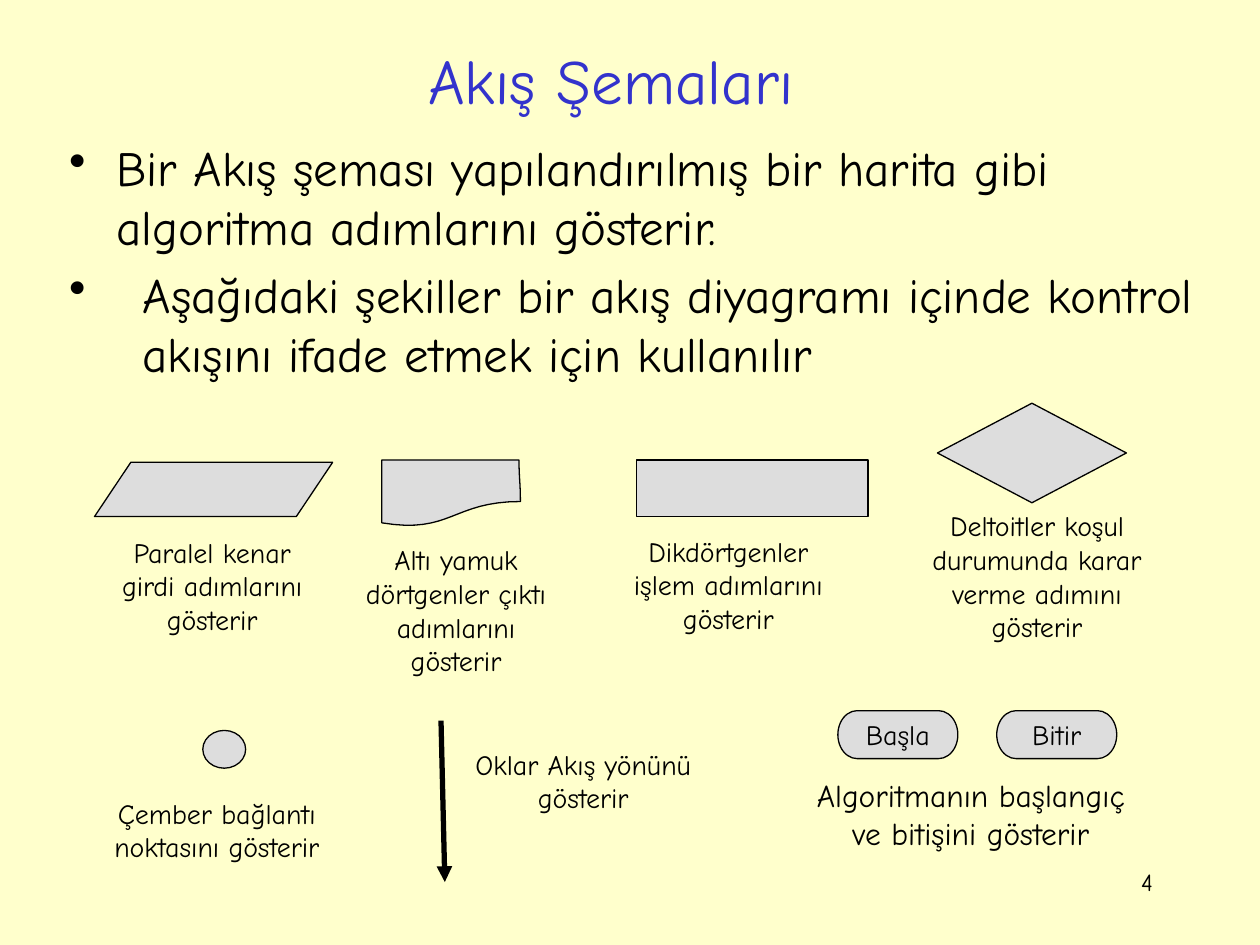
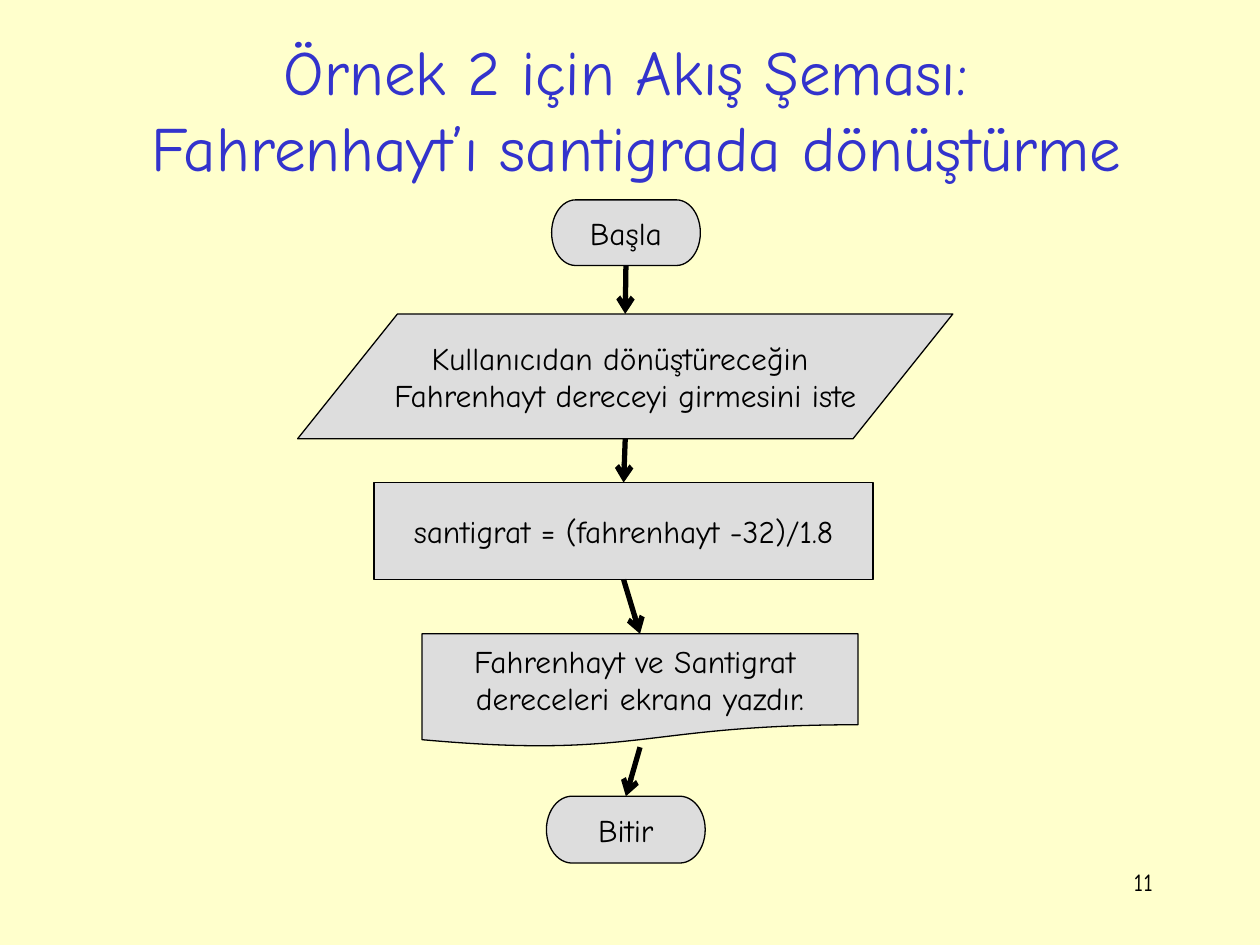
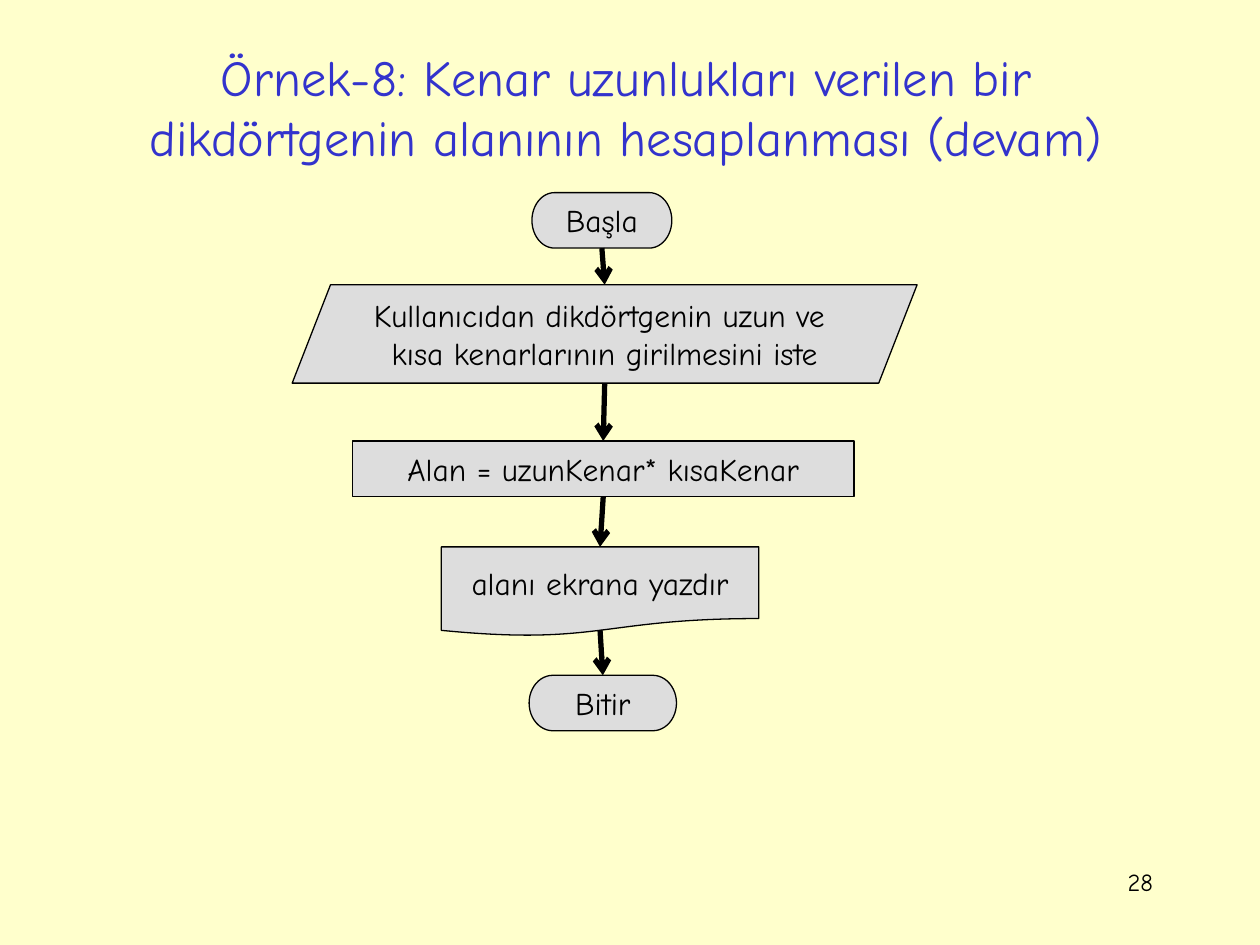
from typing import NamedTuple

from lxml import etree
from pptx import Presentation
from pptx import util as u
from pptx.dml.color import RGBColor
from pptx.enum import shapes, text
from pptx.oxml import ns

CREAM = RGBColor(0xFF, 0xFF, 0xCC)
GREY = RGBColor(0xDD, 0xDD, 0xDD)
BLACK = RGBColor(0, 0, 0)
BLUE = RGBColor(0x33, 0x33, 0xCC)
FONT = "Comic Neue"
KIND = shapes.MSO_SHAPE
CENTER = text.PP_ALIGN.CENTER
LEFT = text.PP_ALIGN.LEFT
RIGHT = text.PP_ALIGN.RIGHT
MIDDLE = text.MSO_ANCHOR.MIDDLE
TOP = text.MSO_ANCHOR.TOP


class Box(NamedTuple):
    left: float
    top: float
    width: float
    height: float

    def lengths(self) -> list:
        return [u.Pt(value) for value in self]

    @property
    def center(self) -> float:
        return self.left + self.width / 2


class Symbol(NamedTuple):
    kind: int
    box: Box
    lines: tuple = ()
    size: float = 18
    slant: float | None = None
    exit: float = 1


class Caption(NamedTuple):
    box: Box
    words: str
    size: float = 16


class Bullet(NamedTuple):
    words: str
    indent: float


class Flow(NamedTuple):
    title: Caption
    number: int
    steps: tuple


def apply_format(target, values: dict) -> None:
    for name, value in values.items():
        setattr(target, name, value)


def write(shape, lines, size: float, color=BLACK, align=CENTER, anchor=TOP, wrap=True) -> None:
    frame = shape.text_frame
    apply_format(frame, {"word_wrap": wrap, "vertical_anchor": anchor})
    for index, line in enumerate(lines):
        paragraph = frame.add_paragraph() if index else frame.paragraphs[0]
        apply_format(paragraph, {"text": line, "alignment": align})
        for run in paragraph.runs:
            apply_format(run.font, {"name": FONT, "size": u.Pt(size)})
            run.font.color.rgb = color


def add_text(slide, caption: Caption, **style):
    shape = slide.shapes.add_textbox(*caption.box.lengths())
    write(shape, [caption.words], caption.size, **style)
    return shape


def paint(shape) -> None:
    shape.shadow.inherit = False
    shape.fill.solid()
    shape.fill.fore_color.rgb = GREY
    shape.line.color.rgb = BLACK
    shape.line.width = u.Pt(0.75)


def add_symbol(slide, symbol: Symbol) -> None:
    shape = slide.shapes.add_shape(symbol.kind, *symbol.box.lengths())
    paint(shape)
    if symbol.slant is not None:
        shape.adjustments[0] = symbol.slant
    if symbol.lines:
        write(shape, symbol.lines, symbol.size, anchor=MIDDLE, wrap=False)


def add_arrow(slide, start: tuple, end: tuple, head: str = "arrow") -> None:
    ends = [u.Pt(value) for value in (*start, *end)]
    arrow = slide.shapes.add_connector(shapes.MSO_CONNECTOR.STRAIGHT, *ends)
    arrow.line.color.rgb = BLACK
    arrow.line.width = u.Pt(3)
    etree.SubElement(arrow.line._get_or_add_ln(), ns.qn("a:tailEnd"), type=head)
    etree.SubElement(arrow._element.spPr, ns.qn("a:effectLst"))


def curve(start: tuple, first: tuple, second: tuple, end: tuple, count: int = 16) -> list:
    points = []
    for step in range(1, count + 1):
        t = step / count
        weights = ((1 - t) ** 3, 3 * t * (1 - t) ** 2, 3 * t * t * (1 - t), t ** 3)
        points.append(tuple(
            sum(weight * point[axis] for weight, point in zip(weights, (start, first, second, end)))
            for axis in (0, 1)))
    return points


def add_output_symbol(slide) -> None:
    top_left, top_right = (218.2, 262.8), (296.6, 262.8)
    bottom_right, bottom_left = (297.4, 286.6), (218.2, 298.8)
    outline = [
        top_right,
        *curve(top_right, (296.6, 272.9), (297.4, 275.8), bottom_right),
        *curve(bottom_right, (258.5, 286.6), (257.8, 305.3), bottom_left),
    ]
    builder = slide.shapes.build_freeform(*(u.Pt(value) for value in top_left))
    builder.add_line_segments([(u.Pt(x), u.Pt(y)) for x, y in outline], close=True)
    paint(builder.convert_to_shape())


def add_bullets(slide, box: Box, bullets: tuple, size: float) -> None:
    shape = slide.shapes.add_textbox(*box.lengths())
    write(shape, [bullet.words for bullet in bullets], size, align=LEFT)
    for paragraph, bullet in zip(shape.text_frame.paragraphs, bullets):
        paragraph.space_before = u.Pt(size * 0.2)
        properties = paragraph._p.get_or_add_pPr()
        properties.set("marL", str(u.Pt(bullet.indent)))
        properties.set("indent", str(-u.Pt(bullet.indent)))
        etree.SubElement(properties, ns.qn("a:buChar"), char="•")


def add_slide(presentation, title: Caption, number: int):
    slide = presentation.slides.add_slide(presentation.slide_layouts[6])
    add_text(slide, Caption(Box(516.2, 491.8, 149.8, 36), str(number), 14), align=RIGHT)
    add_text(slide, title, color=BLUE, anchor=MIDDLE)
    return slide


def add_flow(presentation, flow: Flow) -> None:
    slide = add_slide(presentation, flow.title, flow.number)
    for step in flow.steps:
        add_symbol(slide, step)
    for step, following in zip(flow.steps, flow.steps[1:]):
        box, target = step.box, following.box
        add_arrow(slide, (box.center, box.top + box.height * step.exit), (target.center, target.top))


BULLETS = (
    Bullet("Bir Akış şeması yapılandırılmış bir harita gibi algoritma adımlarını gösterir.", 27),
    Bullet("Aşağıdaki şekiller bir akış diyagramı içinde kontrol akışını ifade etmek için kullanılır", 42),
)

LEGEND_SYMBOLS = (
    Symbol(KIND.RECTANGLE, Box(363.6, 262.8, 132.5, 32.4)),
    Symbol(KIND.DIAMOND, Box(535.7, 230.4, 108, 56.9)),
    Symbol(KIND.PARALLELOGRAM, Box(54, 264.2, 136.1, 31), slant=0.67),
    Symbol(KIND.OVAL, Box(115.9, 417.4, 24.5, 21.6)),
    Symbol(KIND.FLOWCHART_TERMINATOR, Box(478.8, 406.1, 68.6, 27.4), ("Başla",), 16),
    Symbol(KIND.FLOWCHART_TERMINATOR, Box(569.6, 406.1, 68.6, 27.4), ("Bitir",), 16),
)

LEGEND_CAPTIONS = (
    Caption(Box(54, 302.4, 134.6, 65.5), "Paralel kenar girdi adımlarını gösterir"),
    Caption(Box(193.7, 306.7, 133.9, 85), "Altı yamuk dörtgenler çıktı adımlarını gösterir"),
    Caption(Box(347.8, 301.7, 136.8, 65.5), "Dikdörtgenler işlem adımlarını gösterir"),
    Caption(Box(513.4, 287.3, 158.4, 85), "Deltoitler koşul durumunda karar verme adımını gösterir"),
    Caption(Box(31, 451.4, 185.8, 46.1), "Çember bağlantı noktasını gösterir"),
    Caption(Box(264.2, 423.4, 138.2, 46.1), "Oklar Akış yönünü gösterir"),
    Caption(Box(450.7, 439.9, 208.1, 51.1), "Algoritmanın başlangıç ve bitişini gösterir", 18),
)

FLOWS = (
    Flow(
        Caption(Box(13.7, 18.7, 687.6, 86.4),
                "Örnek 2 için Akış Şeması:\v Fahrenhayt’ı santigrada dönüştürme", 36),
        11,
        (
            Symbol(KIND.FLOWCHART_TERMINATOR, Box(315.2, 114.2, 85, 37.5), ("Başla",)),
            Symbol(KIND.PARALLELOGRAM, Box(170.1, 179.4, 374.4, 71.3),
                   ("Kullanıcıdan dönüştüreceğin ", "Fahrenhayt dereceyi girmesini iste"), slant=0.8),
            Symbol(KIND.RECTANGLE, Box(213.8, 275.8, 285.1, 55.4), ("santigrat = (fahrenhayt -32)/1.8",)),
            Symbol(KIND.FLOWCHART_DOCUMENT, Box(241.2, 362.2, 249.1, 64.8),
                   ("Fahrenhayt ve Santigrat ", "dereceleri ekrana yazdır.")),
            Symbol(KIND.FLOWCHART_TERMINATOR, Box(312.3, 455, 90.7, 38.2), ("Bitir",)),
        ),
    ),
    Flow(
        Caption(Box(51.8, 10.8, 612, 100.1),
                "Örnek-8: Kenar uzunlukları verilen bir dikdörtgenin alanının hesaplanması (devam)", 28.8),
        28,
        (
            Symbol(KIND.FLOWCHART_TERMINATOR, Box(304, 110.1, 79.9, 31.7), ("Başla",)),
            Symbol(KIND.PARALLELOGRAM, Box(167, 162.7, 357.1, 56.2),
                   ("Kullanıcıdan dikdörtgenin uzun ve ", "kısa kenarlarının girilmesini iste"), slant=0.39),
            Symbol(KIND.RECTANGLE, Box(201.4, 252, 286.6, 31.9), ("Alan = uzunKenar* kısaKenar",)),
            Symbol(KIND.FLOWCHART_DOCUMENT, Box(252.2, 312.5, 181.4, 51.1), ("alanı ekrana yazdır",), exit=0.93),
            Symbol(KIND.FLOWCHART_TERMINATOR, Box(302.4, 385.9, 84.2, 31.7), ("Bitir",)),
        ),
    ),
)


def add_legend(presentation) -> None:
    slide = add_slide(presentation, Caption(Box(26.6, 18.7, 645.1, 53.3), "Akış Şemaları", 36), 4)
    add_bullets(slide, Box(32.4, 74.9, 661, 133.2), BULLETS, 28)
    for symbol in LEGEND_SYMBOLS:
        add_symbol(slide, symbol)
    add_output_symbol(slide)
    for caption in LEGEND_CAPTIONS:
        add_text(slide, caption)
    add_arrow(slide, (252, 411.8), (254.2, 504), "triangle")


presentation = Presentation()
apply_format(presentation, {"slide_width": u.Pt(720), "slide_height": u.Pt(540)})
background = presentation.slide_master.background.fill
background.solid()
background.fore_color.rgb = CREAM
add_legend(presentation)
for flow in FLOWS:
    add_flow(presentation, flow)
presentation.save("out.pptx")
